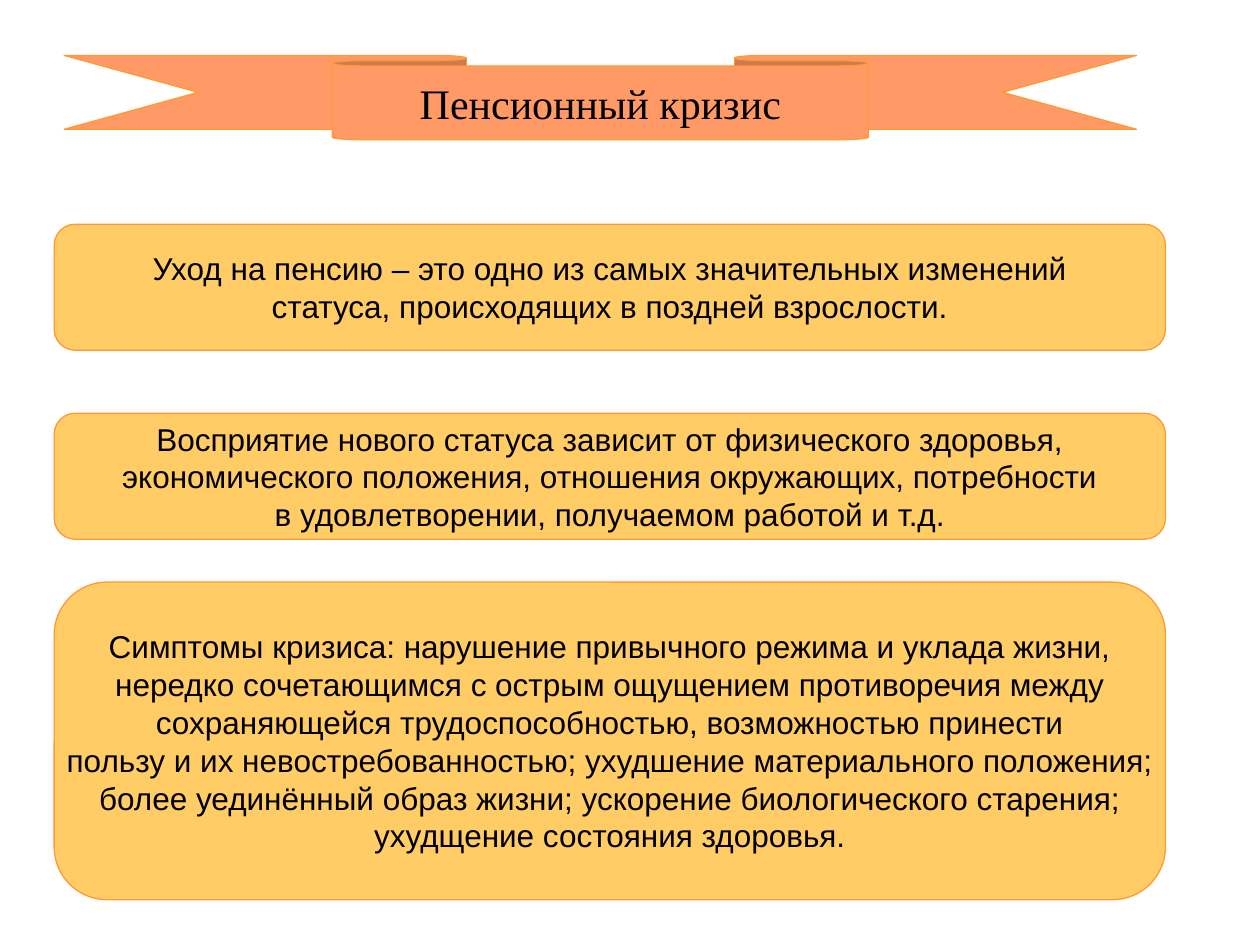
from pptx import Presentation
from pptx import util as u
from pptx.dml.color import RGBColor
from pptx.enum import shapes, text

HEADING = "Пенсионный кризис"
STATEMENTS = [
    (1.78, 1, [
        "Уход на пенсию – это одно из самых значительных изменений",
        "статуса, происходящих в поздней взрослости.",
    ]),
    (3.28, 1, [
        "Восприятие нового статуса зависит от физического здоровья,",
        "экономического положения, отношения окружающих, потребности",
        "в удовлетворении, получаемом работой и т.д.",
    ]),
    (4.62, 2.52, [
        "Симптомы кризиса: нарушение привычного режима и уклада жизни,",
        "нередко сочетающимся с острым ощущением противоречия между",
        "сохраняющейся трудоспособностью, возможностью принести",
        "пользу и их невостребованностью; ухудшение материального положения;",
        "более уединённый образ жизни; ускорение биологического старения;",
        "ухудщение состояния здоровья.",
    ]),
]
THEME = {
    "ribbon": "FF9966", "card": "FFCC66", "outline": "FF9933", "ink": "000000",
    "heading": ("Times New Roman", 24), "body": ("Arial", 18), "stroke": 0.75,
}
RIBBON = (0.51, 0.44, 8.51, 0.67)
RIBBON_FOLD, RIBBON_SPAN = 0.125, 0.5
CARD_LEFT, CARD_WIDTH = 0.43, 8.82


def color(role):
    return RGBColor.from_string(THEME[role])


def add_panel(slide, preset, box, fill):
    panel = slide.shapes.add_shape(preset, *map(u.Inches, box))
    panel.shadow.inherit = False
    panel.fill.solid()
    panel.fill.fore_color.rgb = color(fill)
    panel.line.color.rgb = color("outline")
    panel.line.width = u.Pt(THEME["stroke"])
    return panel


def write_lines(frame, lines, style):
    frame.word_wrap = False
    frame.auto_size = text.MSO_AUTO_SIZE.NONE
    frame.vertical_anchor = text.MSO_ANCHOR.MIDDLE
    for index, line in enumerate(lines):
        paragraph = frame.add_paragraph() if index else frame.paragraphs[0]
        paragraph.alignment = text.PP_ALIGN.CENTER
        run = paragraph.add_run()
        run.text = line
        run.font.name, size = THEME[style]
        run.font.size = u.Pt(size)
        run.font.color.rgb = color("ink")


def add_heading(slide):
    ribbon = add_panel(slide, shapes.MSO_SHAPE.DOWN_RIBBON, RIBBON, "ribbon")
    ribbon.adjustments[0] = RIBBON_FOLD
    ribbon.adjustments[1] = RIBBON_SPAN
    left, top, width, height = RIBBON
    heading = slide.shapes.title
    heading.left = u.Inches(left + width * (1 - RIBBON_SPAN) / 2)
    heading.top = u.Inches(top + height * RIBBON_FOLD)
    heading.width = u.Inches(width * RIBBON_SPAN)
    heading.height = u.Inches(height * (1 - RIBBON_FOLD))
    write_lines(heading.text_frame, [HEADING], "heading")
    ribbon._element.addnext(heading._element)


def main():
    deck = Presentation()
    deck.slide_width, deck.slide_height = u.Inches(10), u.Inches(7.5)
    slide = deck.slides.add_slide(deck.slide_layouts[5])
    add_heading(slide)
    for top, height, lines in STATEMENTS:
        box = (CARD_LEFT, top, CARD_WIDTH, height)
        card = add_panel(slide, shapes.MSO_SHAPE.ROUNDED_RECTANGLE, box, "card")
        write_lines(card.text_frame, lines, "body")
    deck.save("out.pptx")


if __name__ == "__main__":
    main()
